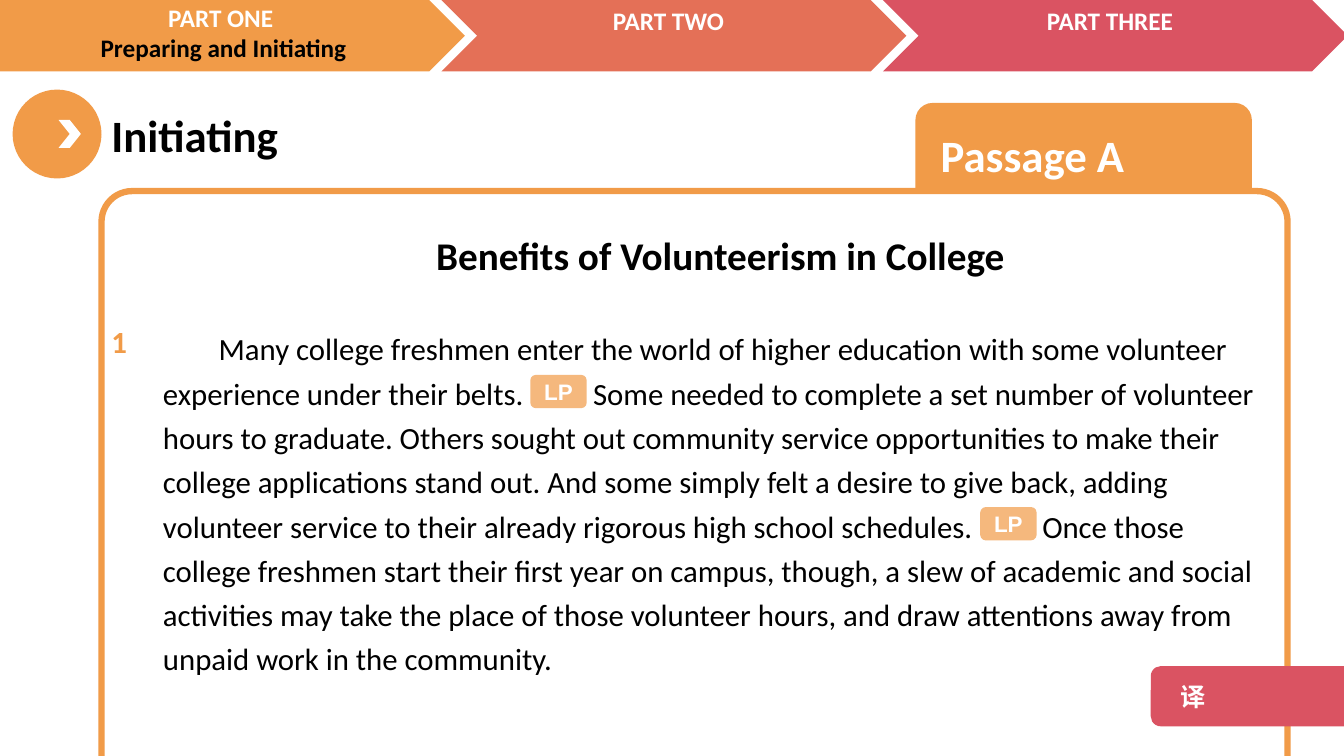
import pptx
import pptx.dml.color
import pptx.enum.shapes
import pptx.enum.text
import pptx.oxml.ns
import pptx.util
from lxml import etree

Pt = pptx.util.Pt
Kind = pptx.enum.shapes.MSO_SHAPE
Align = pptx.enum.text.PP_ALIGN
Anchor = pptx.enum.text.MSO_ANCHOR
qn = pptx.oxml.ns.qn

ORANGE, CORAL, ROSE = "F19B48", "E47057", "DA5362"
WHITE, BLACK = "FFFFFF", "000000"

PARTS = [
    (315.3, 332, CORAL, 315.3, 0, [("PART TWO ", WHITE)]),
    (630.5, 332, ROSE, 628.5, 0, [("PART THREE", WHITE)]),
    (-44, 376, ORANGE, -4.5, -2,
     [("PART ONE ", WHITE), ("Preparing and Initiating", BLACK)]),
]
HEAD = "Initiating"
TAB = "Passage A"
TITLE = "Benefits of Volunteerism in College"
BODY = [
    "Many college freshmen enter the world of higher education with some "
    "volunteer experience under their belts.",
    "Some needed to complete a set number of volunteer hours to graduate. "
    "Others sought out community service opportunities to make their college "
    "applications stand out. And some simply felt a desire to give back, "
    "adding volunteer service to their already rigorous high school "
    "schedules.",
    "Once those college freshmen start their first year on campus, though, a "
    "slew of academic and social activities may take the place of those "
    "volunteer hours, and draw attentions away from unpaid work in the "
    "community.",
]
MARKS = [(378.7, 267.8), (700, 362.2)]

deck = pptx.Presentation()
deck.slide_width, deck.slide_height = Pt(959.76), Pt(540)
slide = deck.slides.add_slide(deck.slide_layouts[6])


def color(code):
    return pptx.dml.color.RGBColor.from_string(code)


def shape(kind, x, y, w, h, fill, line=None, adj=None, alpha=None):
    item = slide.shapes.add_shape(kind, Pt(x), Pt(y), Pt(w), Pt(h))
    item.shadow.inherit = False
    item.fill.solid()
    item.fill.fore_color.rgb = color(fill)
    if line:
        item.line.color.rgb = color(line)
        item.line.width = Pt(4.5)
    else:
        item.line.fill.background()
    if adj is not None:
        item.adjustments[0] = adj
    if alpha:
        tone = item.fill._xPr.find(".//" + qn("a:srgbClr"))
        etree.SubElement(tone, qn("a:alpha"), val=str(alpha * 1000))
    return item


def box(x, y, w, h):
    return slide.shapes.add_textbox(Pt(x), Pt(y), Pt(w), Pt(h))


def write(item, *words, size=18, tone=WHITE, bold=True, font="Calibri",
          align=Align.LEFT, anchor=Anchor.TOP, left=7.2, right=7.2,
          lead=None, gap=0, indent=0, room=0, more=False):
    frame = item.text_frame
    frame.word_wrap = True
    frame.vertical_anchor = anchor
    frame.margin_left, frame.margin_right = Pt(left), Pt(right)
    para = frame.add_paragraph() if more else frame.paragraphs[0]
    para.alignment = align
    para.space_before = Pt(gap)
    if lead:
        para.line_spacing = lead
    if indent:
        para._p.get_or_add_pPr().set("indent", str(Pt(indent)))
    texts = [words[0]]
    for word in words[1:]:
        texts += [" ", word]
    for text in texts:
        run = para.add_run()
        run.text = text
        run.font.size, run.font.bold, run.font.name = Pt(size), bold, font
        run.font.color.rgb = color(tone)
        props = run.font._element
        etree.SubElement(props, qn("a:ea"), typeface=font)
        if text == " ":
            props.set("spc", str(round(room * 100)))


shape(Kind.OVAL, 9, 64, 63.5, 63.5, ORANGE)
write(box(72.5, 73.5, 349, 46), HEAD, size=32, tone=BLACK)
tab = shape(Kind.ROUNDED_RECTANGLE, 653.7, 73.5, 240.3, 73.5, ORANGE)
write(tab, TAB, size=32, anchor=Anchor.MIDDLE, left=14.4)
shape(Kind.ROUNDED_RECTANGLE, 72.5, 136.5, 847, 464.5, WHITE,
      line=ORANGE, adj=0.047)

for x, w, fill, *rest in PARTS:
    shape(Kind.CHEVRON, x, 0, w, 51, fill)
shape(Kind.CHEVRON, 41.8, 85.7, 16, 20, WHITE)
for *rest, x, y, lines in PARTS:
    label = box(x, y, 328.3, 51)
    for i, (words, tone) in enumerate(lines):
        write(label, words, tone=tone, align=Align.CENTER, more=i > 0)

page = box(109.3, 154.8, 810, 334)
write(page, TITLE, size=28, tone=BLACK, align=Align.CENTER, lead=1.2)
write(page, *BODY, size=22, tone=BLACK, bold=False, lead=1.2,
      gap=31.7, indent=39.8, room=44.7, more=True)
write(box(72.5, 221.6, 36.7, 40), "1", size=22, tone=ORANGE, lead=1.2)

key = shape(Kind.ROUNDED_RECTANGLE, 821.8, 475.8, 153, 43, ROSE)
write(key, "译", font="Noto Sans CJK SC", anchor=Anchor.MIDDLE, left=19.4)
for x, y in MARKS:
    mark = shape(Kind.ROUNDED_RECTANGLE, x, y, 40.3, 23.8, ORANGE, alpha=71)
    write(mark, "LP", size=16, font="Arial", align=Align.CENTER,
          anchor=Anchor.MIDDLE, left=0, right=0)

deck.save("out.pptx")
